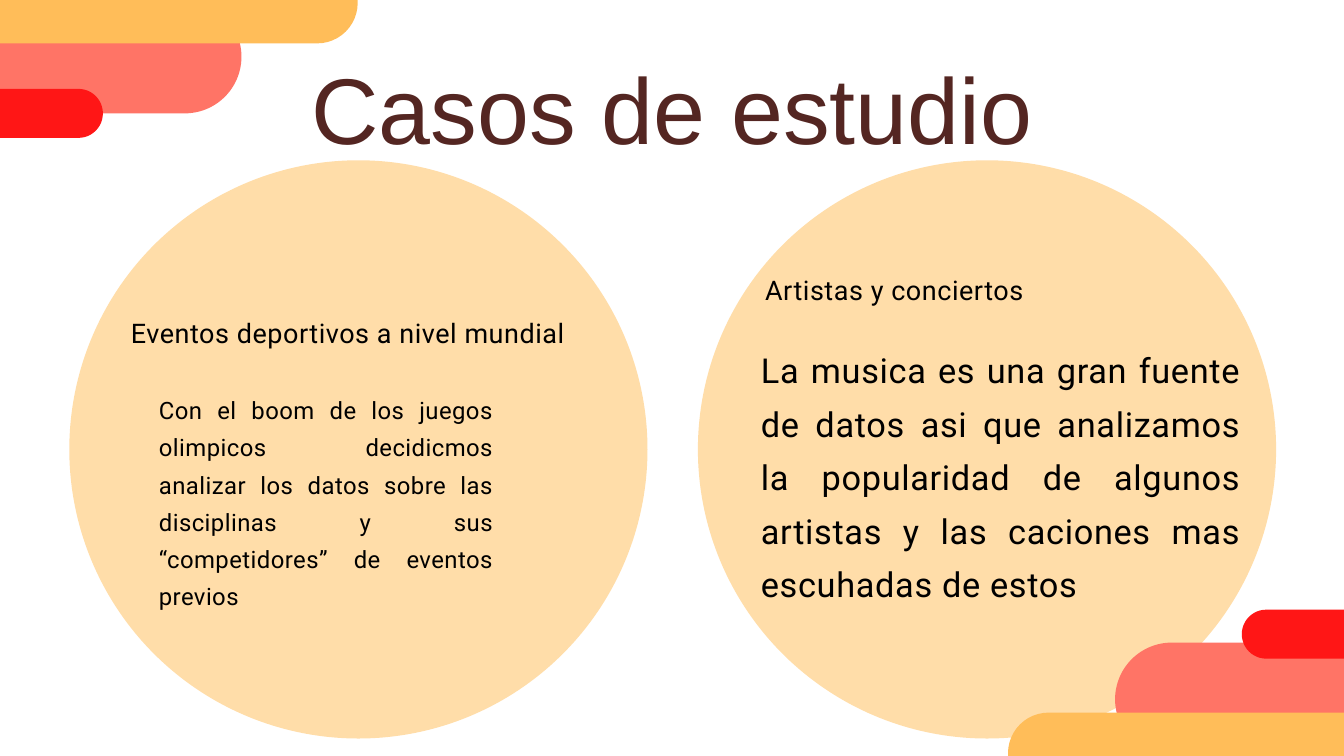
from lxml.etree import SubElement
from pptx import Presentation
from pptx.dml.color import RGBColor
from pptx.enum.shapes import MSO_SHAPE as Shape
from pptx.enum.text import MSO_ANCHOR as Anchor, MSO_AUTO_SIZE as AutoSize, PP_ALIGN as Align
from pptx.oxml.ns import qn
from pptx.util import Pt

EMU_PER_PX = 9525
COMPARISON_LAYOUT = 4
COLORS = {
    "peach": "FFDDA9",
    "coral": "FF7466",
    "red": "FF1616",
    "amber": "FFBD59",
    "brown": "542622",
    "black": "000000",
}
CIRCLE_TOP, CIRCLE_SIZE = 229, 826
BARS = [
    ("coral", -91, 0, 436, 162),
    ("red", -285, 127, 432, 70),
    ("amber", -307, -54, 818, 116),
    ("coral", 1593, 918, 396, 162),
    ("red", 1774, 871, 432, 70),
    ("amber", 1440, 1018, 766, 116),
]


def px(*lengths):
    """Turn pixel lengths into a list of EMU lengths."""
    return [length * EMU_PER_PX for length in lengths]


def color(name):
    """Return the named palette colour."""
    return RGBColor.from_string(COLORS[name])


def add_plain_shape(page, kind, fill, *frame):
    """Add a filled shape without outline or shadow."""
    shape = page.shapes.add_shape(kind, *px(*frame))
    shape.shadow.inherit = False
    shape.fill.solid()
    shape.fill.fore_color.rgb = color(fill)
    shape.line.fill.background()
    return shape


def add_bar(page, fill, *frame):
    """Add a bar with fully rounded ends."""
    bar = add_plain_shape(page, Shape.ROUNDED_RECTANGLE, fill, *frame)
    bar.adjustments[0] = 0.5


def write(box, frame, text, size, leading, font="Roboto", ink="black",
          align=Align.JUSTIFY, tracking=0):
    """Place a placeholder in front and fill it with one formatted paragraph."""
    box.left, box.top, box.width, box.height = px(*frame)
    box.element.getparent().append(box.element)
    body = box.text_frame
    body.word_wrap = True
    body.auto_size = AutoSize.NONE
    body.vertical_anchor = Anchor.TOP
    body.margin_left = body.margin_top = body.margin_right = body.margin_bottom = 0
    para = body.paragraphs[0]
    properties = para._p.get_or_add_pPr()
    properties.set("marL", "0")
    properties.set("indent", "0")
    SubElement(properties, qn("a:buNone"))
    para.alignment = align
    para.line_spacing = Pt(leading)
    para.space_before = Pt(0)
    span = para.add_run()
    span.text = text
    span.font.name = font
    span.font.size = Pt(size)
    span.font.bold = False
    span.font.color.rgb = color(ink)
    span._r.get_or_add_rPr().set("spc", str(tracking))


def main():
    """Build the slide with its two case studies."""
    deck = Presentation()
    deck.slide_width, deck.slide_height = px(1920, 1080)
    page = deck.slides.add_slide(deck.slide_layouts[COMPARISON_LAYOUT])
    title, left_heading, left_body, right_heading, right_body = page.placeholders

    for left in (99, 997):
        add_plain_shape(page, Shape.OVAL, "peach", left, CIRCLE_TOP, CIRCLE_SIZE, CIRCLE_SIZE)
    write(title, (308, 47, 1303, 179), "Casos de estudio", 100, 140,
          font="Arial", ink="brown", align=Align.CENTER)
    for bar in BARS:
        add_bar(page, *bar)

    write(left_heading, (187, 438, 649, 57), "Eventos deportivos a nivel mundial",
          28.9, 45.1, tracking=60)
    write(right_body, (1087, 482, 686, 375),
          "La musica es una gran fuente de datos asi que analizamos la popularidad "
          "de algunos artistas y las caciones mas escuhadas de estos",
          36.8, 57.3, tracking=70)
    write(left_body, (227, 553, 478, 261),
          "Con el boom de los juegos olimpicos decidicmos analizar los datos sobre "
          "las disciplinas y sus “competidores” de eventos previos",
          25.6, 39.9, tracking=50)
    write(right_heading, (1093, 377, 649, 57), "Artistas y conciertos",
          28.9, 45.1, tracking=60)
    deck.save("out.pptx")


if __name__ == "__main__":
    main()
